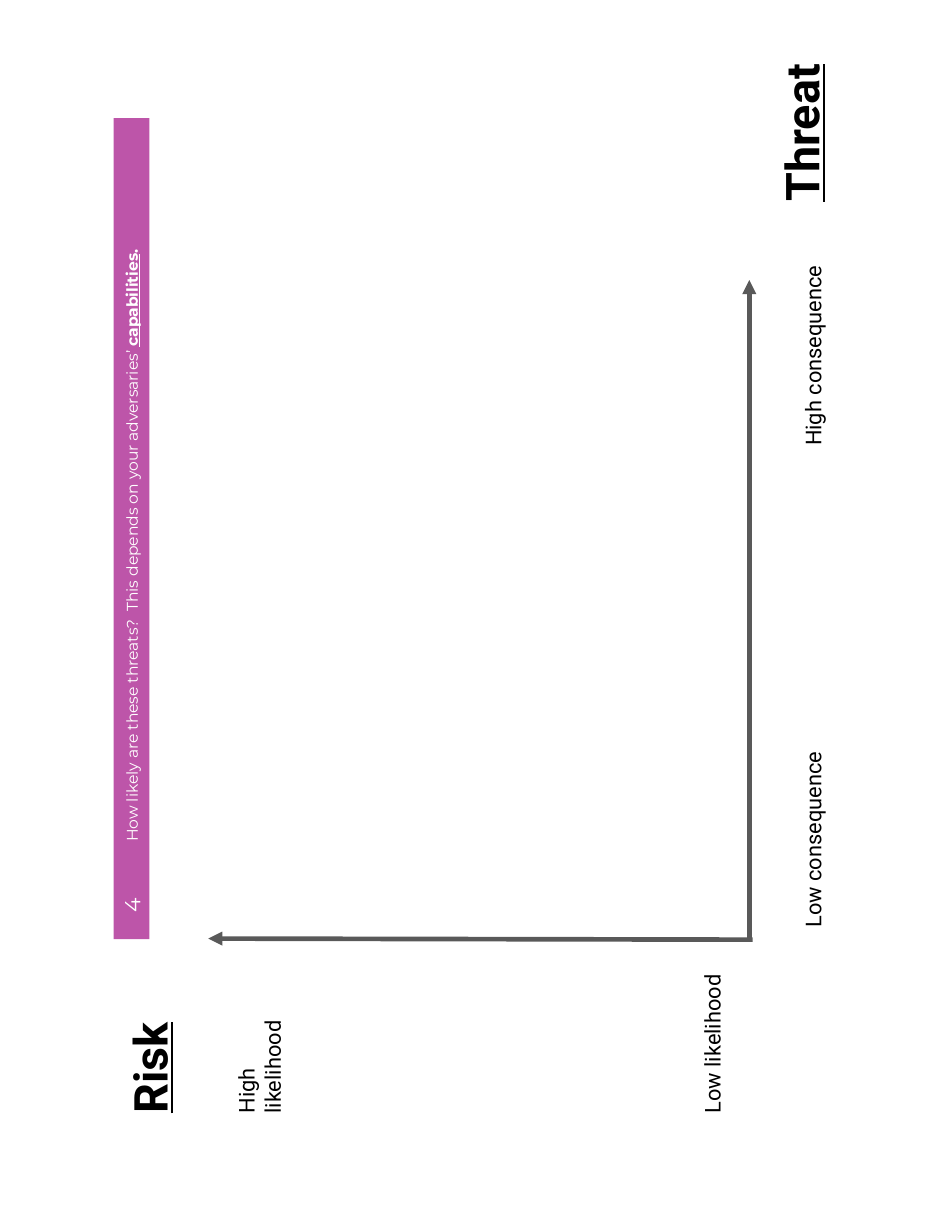
from lxml import etree
from pptx import Presentation
from pptx.dml.color import RGBColor
from pptx.enum.shapes import MSO_CONNECTOR, MSO_SHAPE
from pptx.enum.text import MSO_ANCHOR, PP_ALIGN
from pptx.oxml.ns import qn
from pptx.util import Inches, Pt

STRAIGHT = MSO_CONNECTOR.STRAIGHT
RECTANGLE = MSO_SHAPE.RECTANGLE
TOP, MIDDLE = MSO_ANCHOR.TOP, MSO_ANCHOR.MIDDLE
LEFT = PP_ALIGN.LEFT

BLACK = RGBColor(0x00, 0x00, 0x00)
WHITE = RGBColor(0xFF, 0xFF, 0xFF)
GREY = RGBColor(0x59, 0x59, 0x59)
PURPLE = RGBColor(0xBD, 0x55, 0xA9)

LABEL = {"name": "Roboto", "size": Pt(14)}
HEADING = {"name": "Roboto", "size": Pt(30), "bold": True, "underline": True}
NUMBER = {"name": "Montserrat", "size": Pt(14)}
QUESTION = {"name": "Montserrat", "size": Pt(10)}
KEYWORD = {**QUESTION, "bold": True, "underline": True}
FULL_STOP = {**QUESTION, "bold": True}

# Every label is turned to read upwards
TURN = 270
LABEL_SIZE = (1.45, 0.41)


def write_text(box, spans, color, anchor):
    """Fill a box with one left-aligned paragraph of (text, format) spans."""
    frame = box.text_frame
    frame.word_wrap = True
    frame.vertical_anchor = anchor
    for side in ("left", "top", "right", "bottom"):
        setattr(frame, f"margin_{side}", Inches(0.1))
    para = frame.paragraphs[0]
    para.alignment = LEFT
    for text, font_format in spans:
        span = para.add_run()
        span.text = text
        span.font.color.rgb = color
        for key, value in font_format.items():
            setattr(span.font, key, value)
    return para


def add_label(page, text, font_format, left, top, size=LABEL_SIZE,
              color=BLACK, anchor=TOP):
    box = page.shapes.add_textbox(*map(Inches, (left, top, *size)))
    box.rotation = TURN
    return write_text(box, [(text, font_format)], color, anchor)


def add_tab_stop(para, position):
    properties = para._p.get_or_add_pPr()
    stops = etree.SubElement(properties, qn("a:tabLst"))
    etree.SubElement(stops, qn("a:tab"), pos=str(Inches(position)), algn="l")


def add_banner(page, spans, left, top, width, height, indent):
    banner = page.shapes.add_shape(
        RECTANGLE, *map(Inches, (left, top, width, height)))
    banner.rotation = TURN
    banner.shadow.inherit = False
    banner.fill.solid()
    banner.fill.fore_color.rgb = PURPLE
    banner.line.fill.background()
    para = write_text(banner, spans, WHITE, MIDDLE)
    para._p.get_or_add_pPr().set("marL", str(Inches(indent)))


def add_axis(page, start, end):
    axis = page.shapes.add_connector(STRAIGHT, *map(Inches, (*start, *end)))
    axis.line.color.rgb = GREY
    axis.line.width = Pt(3)
    etree.SubElement(axis.line._get_or_add_ln(), qn("a:tailEnd"),
                     type="triangle")
    etree.SubElement(axis._element.spPr, qn("a:effectLst"))


def main():
    deck = Presentation()
    deck.slide_width, deck.slide_height = Inches(8.5), Inches(11)
    page = deck.slides.add_slide(deck.slide_layouts[6])

    # Axes: threat consequence and risk likelihood
    add_axis(page, (6.69, 8.38), (6.69, 2.5))
    add_axis(page, (6.72, 8.39), (1.86, 8.38))

    # Axis end labels
    add_label(page, "Low likelihood", LABEL, 5.62, 9.11)
    add_label(page, "High likelihood", LABEL, 1.46, 9.11)
    consequence = add_label(page, "Low consequence\tHigh consequence", LABEL,
                            3.53, 4.09, size=(7.45, 1.13), anchor=MIDDLE)
    add_tab_stop(consequence, 4.3)

    # Axis headings
    add_label(page, "Risk", HEADING, 0.46, 9.11)
    add_label(page, "Threat", HEADING, 6.28, 0.97)

    # Question banner with its step number
    question = [
        ("How likely are these threats?  This depends on your adversaries’ ",
         QUESTION),
        ("capabilities", KEYWORD),
        (".", FULL_STOP),
    ]
    add_banner(page, question, -2.49, 4.56, 7.33, 0.32, indent=0.77)
    add_label(page, "4", NUMBER, 0.9, 7.81, size=(0.55, 0.32),
              color=WHITE, anchor=MIDDLE)

    deck.save("out.pptx")


if __name__ == "__main__":
    main()
